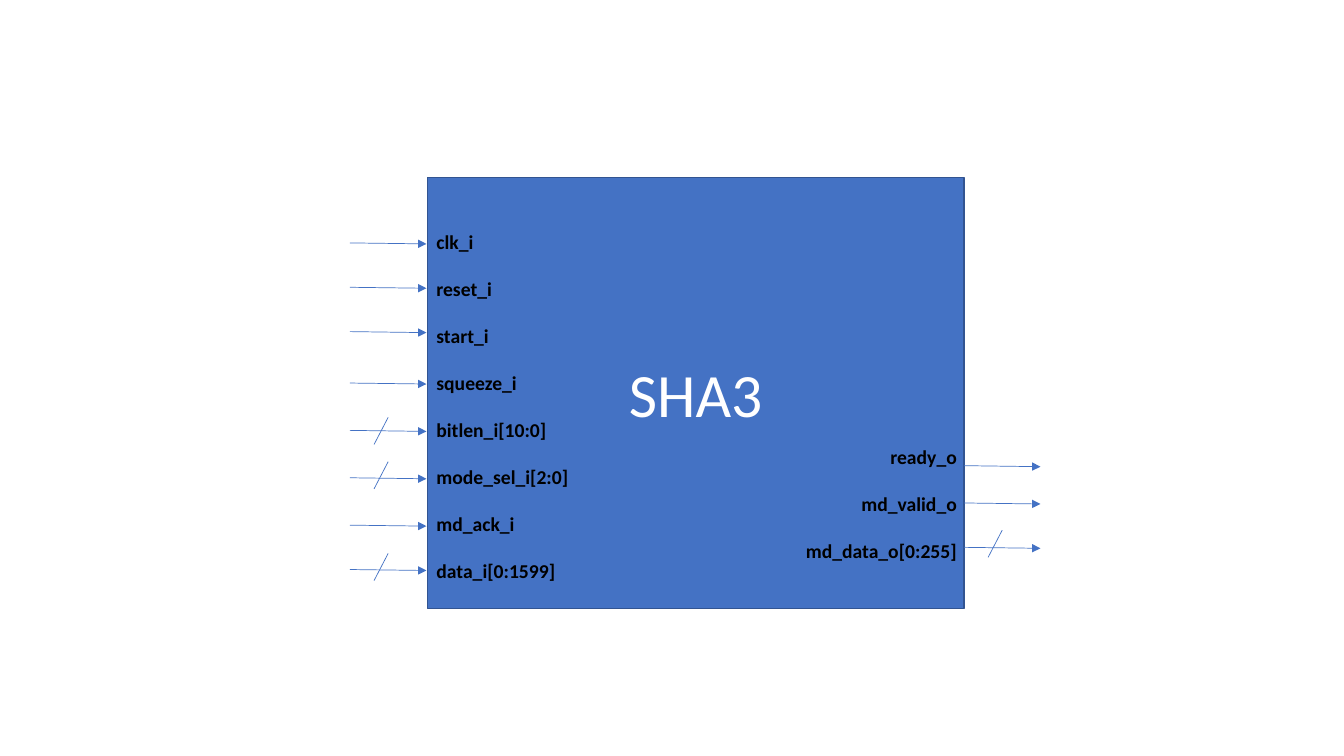
from lxml import etree
from pptx import Presentation
from pptx.dml.color import RGBColor
from pptx.enum.shapes import MSO_CONNECTOR, MSO_SHAPE
from pptx.enum.text import MSO_ANCHOR, PP_ALIGN
from pptx.oxml.ns import qn
from pptx.util import Inches, Pt

STRAIGHT = MSO_CONNECTOR.STRAIGHT
RECTANGLE = MSO_SHAPE.RECTANGLE
MIDDLE = MSO_ANCHOR.MIDDLE
LEFT, CENTER, RIGHT = PP_ALIGN.LEFT, PP_ALIGN.CENTER, PP_ALIGN.RIGHT

FONT = "Calibri"
BLANK_LAYOUT = 6
COLORS = {"block": "4472C4", "border": "325491", "title": "FFFFFF", "label": "000000"}

# Signal name, height of its arrow, top of its bus slash (None for a single wire)
INPUTS = [
    ("clk_i", 2.41, None),
    ("reset_i", 2.85, None),
    ("start_i", 3.29, None),
    ("squeeze_i", 3.8, None),
    ("bitlen_i[10:0]", 4.27, 4.14),
    ("mode_sel_i[2:0]", 4.74, 4.58),
    ("md_ack_i", 5.21, None),
    ("data_i[0:1599]", 5.65, 5.49),
]
OUTPUTS = [
    ("ready_o", 4.62, None),
    ("md_valid_o", 4.99, None),
    ("md_data_o[0:255]", 5.43, 5.26),
]
INPUT_LEFT, OUTPUT_LEFT = 3.47, 9.56
ARROW_WIDTH, ARROW_DROP = 0.76, 0.01
SLASH_LEFT, SLASH_WIDTH, SLASH_HEIGHT = 0.24, 0.14, 0.27


def color(name):
    """Return the named colour of the palette."""
    return RGBColor.from_string(COLORS[name])


def style_paragraph(para, size, color_name, align, bold=False):
    """Set the font and alignment of a paragraph."""
    para.alignment = align
    para.font.name = FONT
    para.font.size = Pt(size)
    para.font.bold = bold
    para.font.color.rgb = color(color_name)


def add_block(page, title, left, top, width, height):
    """Draw the module block with its centred title."""
    block = page.shapes.add_shape(
        RECTANGLE, Inches(left), Inches(top), Inches(width), Inches(height))
    block.shadow.inherit = False
    block.fill.solid()
    block.fill.fore_color.rgb = color("block")
    block.line.color.rgb = color("border")
    block.line.width = Pt(1)
    block.text_frame.text = title
    block.text_frame.vertical_anchor = MIDDLE
    style_paragraph(block.text_frame.paragraphs[0], 44, "title", CENTER)


def add_labels(page, names, left, top, width, height, align):
    """Write a column of signal names, spaced one line apart."""
    box = page.shapes.add_textbox(
        Inches(left), Inches(top), Inches(width), Inches(height))
    frame = box.text_frame
    frame.word_wrap = True
    frame.vertical_anchor = MIDDLE
    frame.text = "\n".join(names)
    for index, para in enumerate(frame.paragraphs):
        style_paragraph(para, 14, "label", align, bold=True)
        para.space_before = Pt(16.8 if index else 0)


def add_line(page, start, end, arrow=False):
    """Draw a thin line, with an arrowhead at its end if asked."""
    line = page.shapes.add_connector(
        STRAIGHT, *(Inches(value) for value in (*start, *end)))
    line.line.color.rgb = color("block")
    line.line.width = Pt(0.5)
    if arrow:
        outline = line.line._get_or_add_ln()
        etree.SubElement(outline, qn("a:tailEnd"), type="triangle")
    etree.SubElement(line._element.spPr, qn("a:effectLst"))


def add_wires(page, signals, left):
    """Draw the arrow of each signal and a slash across each bus."""
    for _, top, slash_top in signals:
        add_line(page, (left, top), (left + ARROW_WIDTH, top + ARROW_DROP), arrow=True)
        if slash_top is not None:
            slash_left = left + SLASH_LEFT
            add_line(page, (slash_left + SLASH_WIDTH, slash_top),
                     (slash_left, slash_top + SLASH_HEIGHT))


def main():
    """Build the block diagram slide."""
    deck = Presentation()
    deck.slide_width, deck.slide_height = Inches(13.33), Inches(7.5)
    page = deck.slides.add_slide(deck.slide_layouts[BLANK_LAYOUT])
    add_block(page, "SHA3", 4.24, 1.76, 5.32, 4.28)
    add_labels(page, [name for name, *_ in OUTPUTS], 6.46, 4.16, 3.13, 1.68, RIGHT)
    add_labels(page, [name for name, *_ in INPUTS], 4.23, 2.21, 2.2, 3.64, LEFT)
    add_wires(page, INPUTS, INPUT_LEFT)
    add_wires(page, OUTPUTS, OUTPUT_LEFT)
    deck.save("out.pptx")


main()
